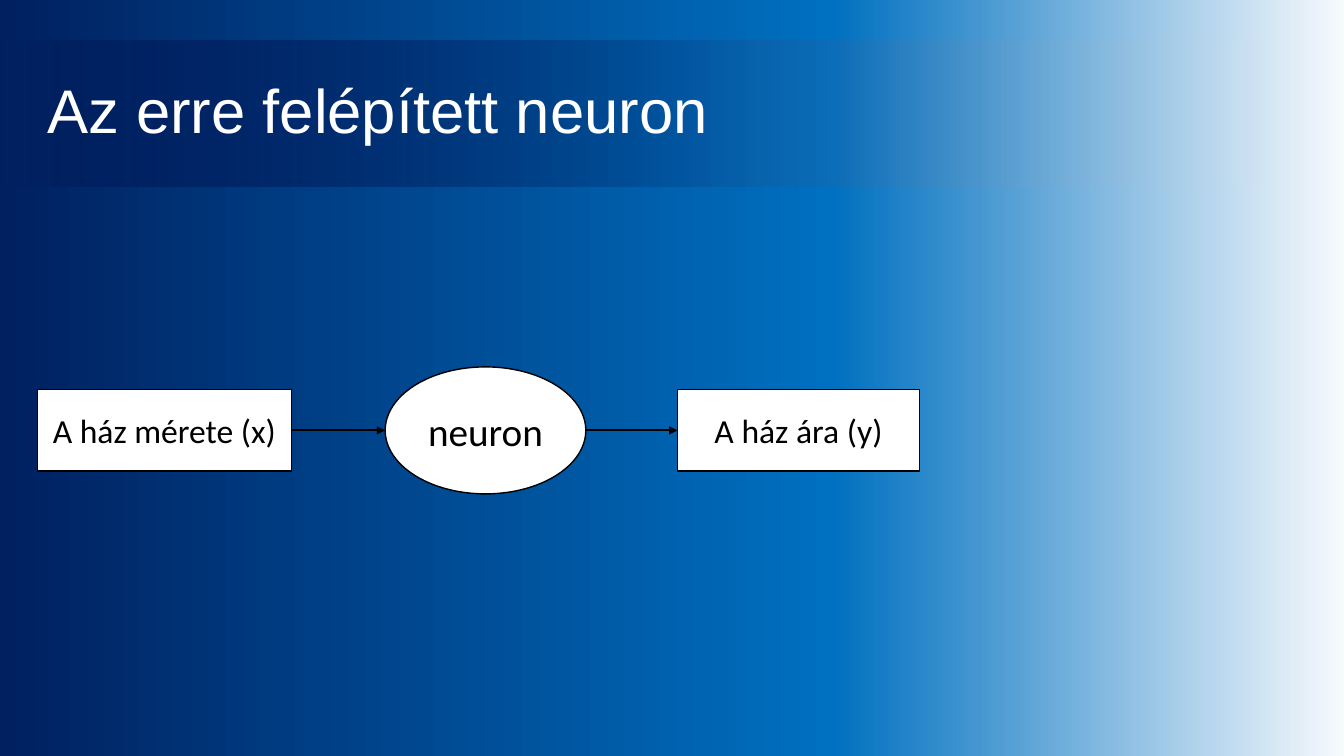
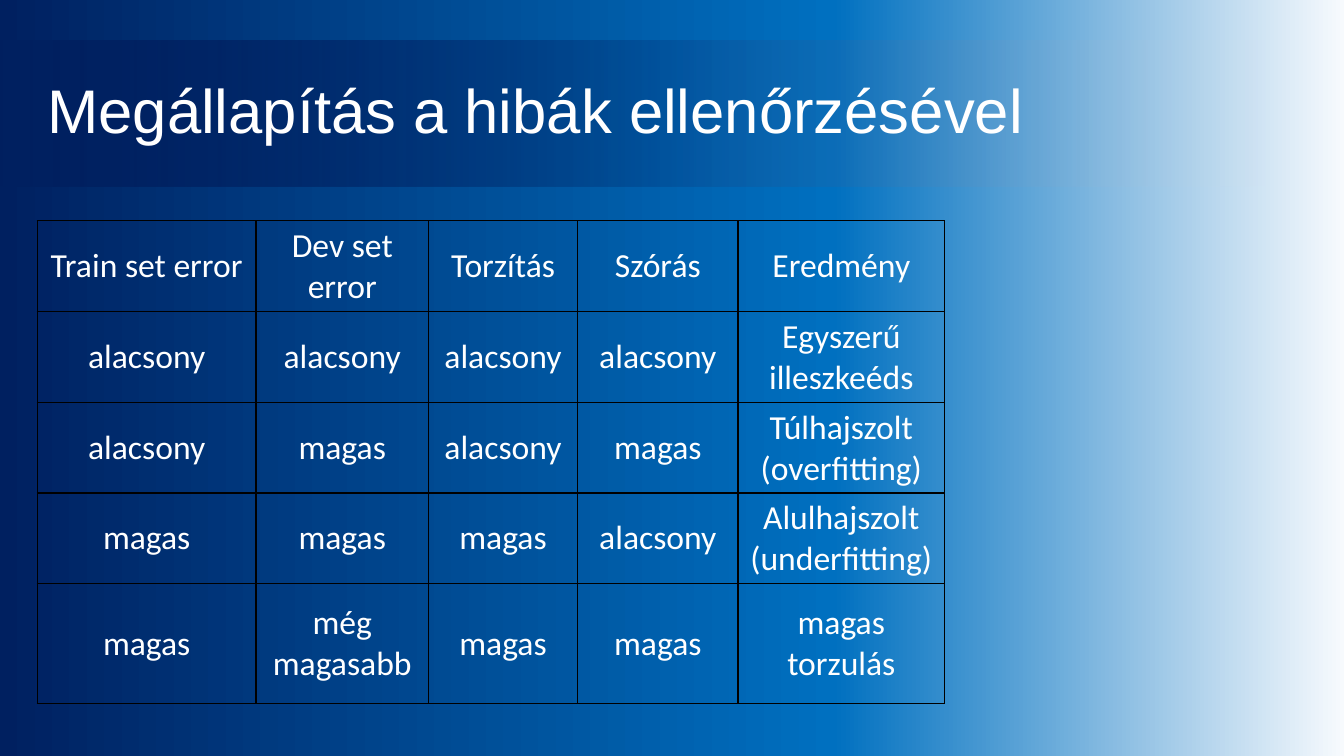
from lxml import etree
from pptx import Presentation
from pptx.dml.color import RGBColor
from pptx.enum.shapes import MSO_CONNECTOR as Connector, MSO_SHAPE as Preset
from pptx.enum.text import MSO_ANCHOR as Anchor, PP_ALIGN as Align
from pptx.oxml.ns import qn
from pptx.util import Inches, Pt

NAVY, BLUE, PALE, WHITE, BLACK = "002060", "0070C0", "F7FAFD", "FFFFFF", "000000"
TITLE_FONT, BODY_FONT = "Arial", "Calibri"

# Gradient stops: position, colour and opacity, in percent
BACKGROUND_STOPS = [(0, NAVY, 100), (62, BLUE, 100), (100, PALE, 100)]
BAND_STOPS = [(0, NAVY, 100), (50, NAVY, 22), (100, WHITE, 0)]
BAND_TOP, BAND_HEIGHT = 0.4, 1.45
MARGIN = 0.37

NEURON_TITLE = "Az erre felépített neuron"
FLOW_MIDDLE = 4.27
# Preset, text, left, width, height, text size
FLOW = [
    (Preset.RECTANGLE, "A ház mérete (x)", MARGIN, 2.52, 0.81, 24),
    (Preset.OVAL, "neuron", 3.82, 1.99, 1.26, 28),
    (Preset.RECTANGLE, "A ház ára (y)", 6.72, 2.4, 0.81, 24),
]

ERRORS_TITLE = "Megállapítás a hibák ellenőrzésével"
TABLE_TOP = 2.19
COLUMN_WIDTHS = [2.17, 1.71, 1.48, 1.59, 2.05]
ROW_HEIGHTS = [0.75, 0.75, 0.75, 0.75, 1.19]
ERROR_ROWS = [
    ["Train set error", "Dev set error", "Torzítás", "Szórás", "Eredmény"],
    ["alacsony", "alacsony", "alacsony", "alacsony", "Egyszerű illeszkeéds"],
    ["alacsony", "magas", "alacsony", "magas", "Túlhajszolt (overfitting)"],
    ["magas", "magas", "magas", "alacsony", "Alulhajszolt (underfitting)"],
    ["magas", "még magasabb", "magas", "magas", "magas torzulás"],
]


def rgb(value):
    return RGBColor.from_string(value)


def set_gradient(owner, fill, stops):
    """Give the fill of a slide background or shape a left-to-right gradient."""
    fill.gradient()
    fill.gradient_angle = 0
    stop_list = owner.element.find(".//" + qn("a:gsLst"))
    for stop in list(stop_list):
        stop_list.remove(stop)
    for position, color, opacity in stops:
        stop = etree.SubElement(stop_list, qn("a:gs"), pos=str(position * 1000))
        color_node = etree.SubElement(stop, qn("a:srgbClr"), val=color)
        if opacity < 100:
            etree.SubElement(color_node, qn("a:alpha"), val=str(opacity * 1000))


def write(frame, text, size, color, font=BODY_FONT, align=Align.CENTER):
    frame.word_wrap = True
    paragraph = frame.paragraphs[0]
    paragraph.alignment = align
    run = paragraph.add_run()
    run.text = text
    run.font.size = Pt(size)
    run.font.name = font
    run.font.color.rgb = rgb(color)
    return paragraph


def add_titled_slide(presentation, title):
    slide = presentation.slides.add_slide(presentation.slide_layouts[6])
    set_gradient(slide, slide.background.fill, BACKGROUND_STOPS)
    band = slide.shapes.add_shape(
        Preset.RECTANGLE, Inches(-0.15), Inches(BAND_TOP), Inches(13.25), Inches(BAND_HEIGHT))
    band.shadow.inherit = False
    band.line.fill.background()
    set_gradient(band, band.fill, BAND_STOPS)
    box = slide.shapes.add_textbox(
        Inches(MARGIN), Inches(BAND_TOP), Inches(11.5), Inches(BAND_HEIGHT))
    box.text_frame.vertical_anchor = Anchor.MIDDLE
    paragraph = write(box.text_frame, title, 44, WHITE, TITLE_FONT, Align.LEFT)
    paragraph.line_spacing = 0.9
    return slide


def add_node(slide, preset, text, left, width, height, size):
    node = slide.shapes.add_shape(
        preset, Inches(left), Inches(FLOW_MIDDLE - height / 2), Inches(width), Inches(height))
    node.shadow.inherit = False
    node.fill.solid()
    node.fill.fore_color.rgb = rgb(WHITE)
    node.line.color.rgb = rgb(BLACK)
    node.line.width = Pt(1)
    node.text_frame.vertical_anchor = Anchor.MIDDLE
    write(node.text_frame, text, size, BLACK)
    return node


def add_arrow(slide, source, target):
    middle = Inches(FLOW_MIDDLE)
    arrow = slide.shapes.add_connector(
        Connector.STRAIGHT, source.left + source.width, middle, target.left, middle)
    if source.auto_shape_type == Preset.RECTANGLE:
        arrow.begin_connect(source, 3)
    if target.auto_shape_type == Preset.RECTANGLE:
        arrow.end_connect(target, 1)
    arrow.line.color.rgb = rgb(BLACK)
    arrow.line.width = Pt(1.5)
    etree.SubElement(arrow.line._get_or_add_ln(), qn("a:tailEnd"), type="triangle")
    etree.SubElement(arrow.element.spPr, qn("a:effectLst"))


def set_borders(cell, color, points):
    properties = cell._tc.get_or_add_tcPr()
    for index, side in enumerate(("lnL", "lnR", "lnT", "lnB")):
        border = etree.Element(qn("a:" + side), w=str(Pt(points)))
        fill = etree.SubElement(border, qn("a:solidFill"))
        etree.SubElement(fill, qn("a:srgbClr"), val=color)
        properties.insert(index, border)


def add_error_table(slide):
    table = slide.shapes.add_table(
        len(ERROR_ROWS), len(COLUMN_WIDTHS), Inches(MARGIN), Inches(TABLE_TOP),
        Inches(sum(COLUMN_WIDTHS)), Inches(sum(ROW_HEIGHTS))).table
    table.first_row = table.horz_banding = False
    for column, width in zip(table.columns, COLUMN_WIDTHS):
        column.width = Inches(width)
    for row, height, texts in zip(table.rows, ROW_HEIGHTS, ERROR_ROWS):
        row.height = Inches(height)
        for cell, text in zip(row.cells, texts):
            cell.fill.background()
            cell.vertical_anchor = Anchor.MIDDLE
            set_borders(cell, BLACK, 1)
            write(cell.text_frame, text, 24, WHITE)


def main():
    presentation = Presentation()
    presentation.slide_width = Inches(13.33)
    presentation.slide_height = Inches(7.5)

    neuron_slide = add_titled_slide(presentation, NEURON_TITLE)
    nodes = [add_node(neuron_slide, *node) for node in FLOW]
    for source, target in zip(nodes, nodes[1:]):
        add_arrow(neuron_slide, source, target)

    add_error_table(add_titled_slide(presentation, ERRORS_TITLE))
    presentation.save("out.pptx")


if __name__ == "__main__":
    main()
